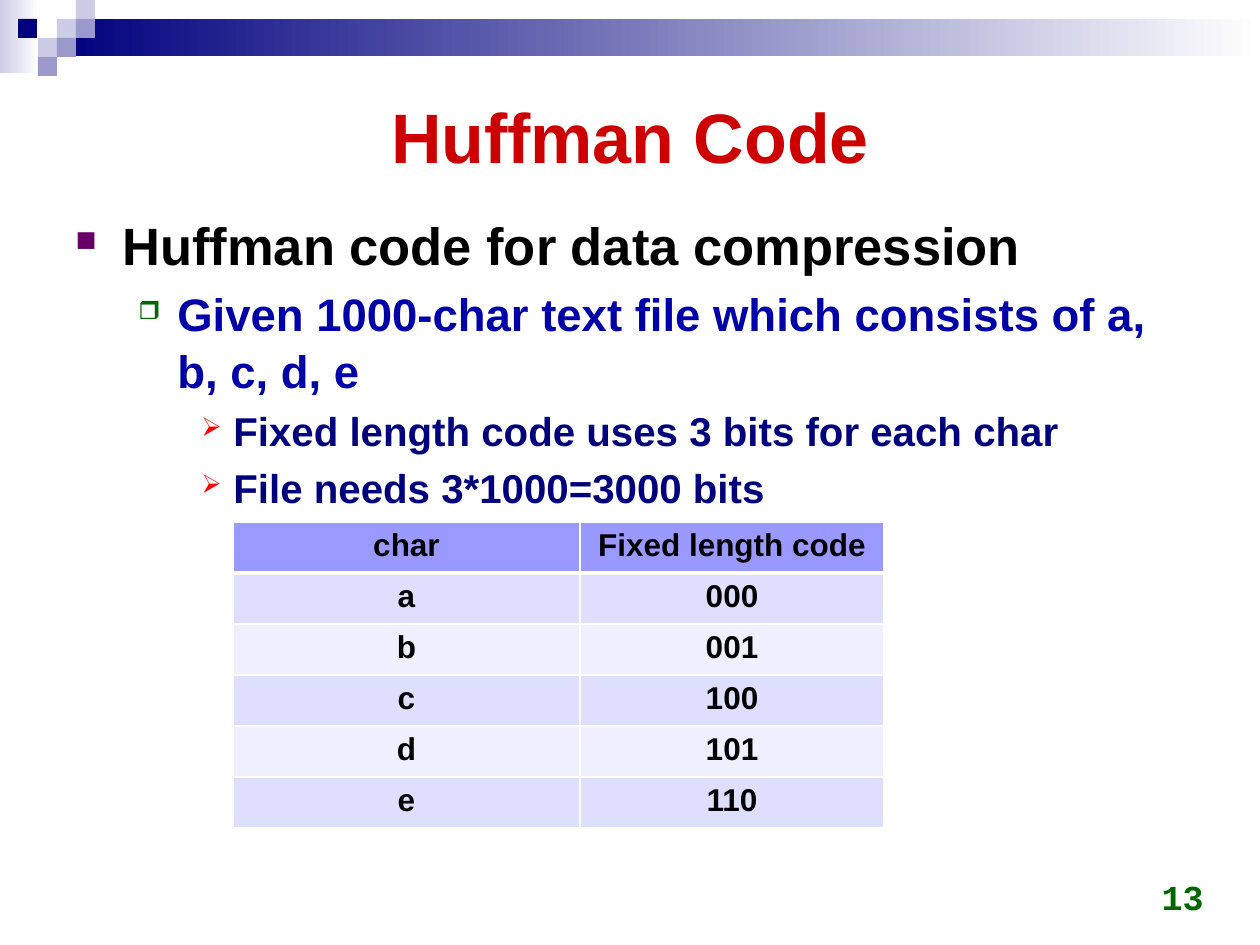
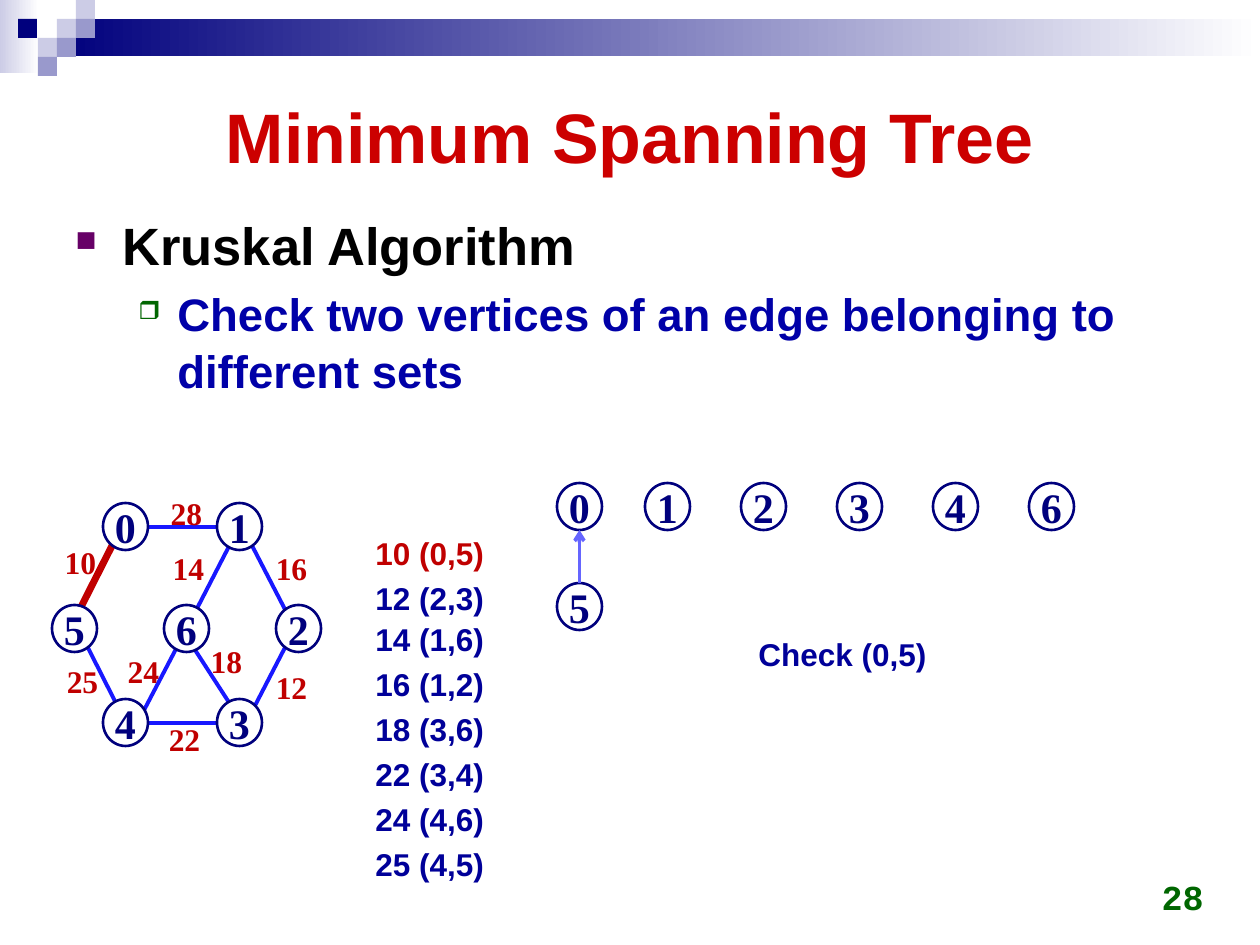
from lxml import etree
from pptx import Presentation
from pptx.dml.color import RGBColor
from pptx.enum.shapes import MSO_CONNECTOR, MSO_SHAPE
from pptx.enum.text import MSO_ANCHOR, PP_ALIGN
from pptx.oxml.ns import qn
from pptx.util import Emu, Pt

RECT, OVAL = MSO_SHAPE.RECTANGLE, MSO_SHAPE.OVAL
STRAIGHT = MSO_CONNECTOR.STRAIGHT
LEFT, CENTER, RIGHT = PP_ALIGN.LEFT, PP_ALIGN.CENTER, PP_ALIGN.RIGHT
TOP, MIDDLE, BOTTOM = MSO_ANCHOR.TOP, MSO_ANCHOR.MIDDLE, MSO_ANCHOR.BOTTOM

PX_PER_INCH = 126
SANS, SERIF, MONO = "Arial", "Times New Roman", "Courier New"
NAVY, LILAC, PALE = "00007D", "9999CC", "CCCCE6"
WHITE, BLACK, RED, CRIMSON = "FFFFFF", "000000", "CC0000", "C00000"
GREEN, LIST_BLUE, EDGE_BLUE, ARROW_BLUE = "006600", "000099", "1818FF", "6565FF"

# Outline levels: size, colour, left margin, hanging indent, bullet, its colour and size %
LEVELS = [
    (30, BLACK, 47, 47, "■", "660066", 55),
    (26, "0000A8", 102, 39, "❒", GREEN, 55),
    (23, NAVY, 158, 32, "➢", "FF0000", 65),
]

# Corner squares on a 19 px grid: left, top, colour
SQUARES = [(57, 19, PALE), (76, 0, PALE), (76, 19, LILAC), (38, 38, PALE),
           (18, 19, NAVY), (57, 38, LILAC), (38, 57, LILAC)]

CODES = [("char", "Fixed length code"), ("a", "000"), ("b", "001"),
         ("c", "100"), ("d", "101"), ("e", "110")]

# Graph: vertex -> left, top
VERTICES = {5: (52, 605), 0: (103, 503), 4: (103, 699), 6: (164, 605),
            1: (217, 503), 3: (217, 699), 2: (276, 605)}
VERTEX_W, VERTEX_H = 45, 47

# Graph edges by weight: weight, vertices, start, end, label corner
EDGES = [
    (10, (0, 5), (118, 534), (74, 621), (52, 537)),
    (12, (2, 3), (291, 636), (246, 723), (263, 662)),
    (14, (1, 6), (239, 527), (187, 628), (160, 543)),
    (16, (1, 2), (246, 534), (291, 621), (263, 543)),
    (18, (3, 6), (232, 707), (186, 636), (198, 636)),
    (22, (3, 4), (246, 723), (134, 723), (156, 714)),
    (24, (4, 6), (141, 716), (187, 628), (115, 646)),
    (25, (4, 5), (82, 636), (126, 723), (54, 656)),
    (28, (0, 1), (134, 527), (246, 527), (158, 488)),
]
CHOSEN = (0, 5)


def px(*lengths):
    return [Emu(round(length * 914400 / PX_PER_INCH)) for length in lengths]


def rgb(color):
    return RGBColor.from_string(color)


def sub(parent, tag, **attributes):
    return etree.SubElement(parent, qn(tag), attributes)


def style(paragraph, size, color, font=SANS, align=LEFT):
    paragraph.alignment = align
    paragraph.font.name = font
    paragraph.font.size = Pt(size)
    paragraph.font.bold = True
    paragraph.font.color.rgb = rgb(color)


def add_box(slide, kind, box, fill, fill_end=None, line=None):
    """A preset shape with a plain fill, or a left-to-right gradient."""
    shape = slide.shapes.add_shape(kind, *px(*box))
    shape.shadow.inherit = False
    if fill_end:
        shape.fill.gradient()
        shape.fill.gradient_angle = 0
        for stop, color, position in zip(shape.fill.gradient_stops, (fill, fill_end), (0, 1)):
            stop.color.rgb = rgb(color)
            stop.position = position
    else:
        shape.fill.solid()
        shape.fill.fore_color.rgb = rgb(fill)
    if line:
        shape.line.color.rgb = rgb(line)
        shape.line.width = Pt(1.5)
    else:
        shape.line.fill.background()
    return shape


def add_label(slide, text, box, size, color, font=SANS, align=LEFT, anchor=TOP):
    frame = slide.shapes.add_textbox(*px(*box)).text_frame
    frame.word_wrap = False
    frame.vertical_anchor = anchor
    frame.text = text
    style(frame.paragraphs[0], size, color, font, align)


def add_line(slide, start, end, color, width, arrow=False):
    line = slide.shapes.add_connector(STRAIGHT, *px(*start, *end))
    line.line.color.rgb = rgb(color)
    line.line.width = Pt(width)
    if arrow:
        sub(line.line._get_or_add_ln(), "a:tailEnd", type="arrow")
    sub(line._element.spPr, "a:effectLst")


def add_vertex(slide, name, left, top):
    vertex = add_box(slide, OVAL, (left, top, VERTEX_W, VERTEX_H), WHITE, line=NAVY)
    frame = vertex.text_frame
    frame.margin_left, frame.margin_top, frame.margin_right, frame.margin_bottom = px(10, 8, 10, 8)
    frame.word_wrap = False
    frame.vertical_anchor = MIDDLE
    frame.text = str(name)
    style(frame.paragraphs[0], 24, NAVY, SERIF, CENTER)


def add_outline(slide, items):
    """Bulleted text from (level, text) pairs."""
    frame = slide.shapes.add_textbox(*px(63, 204, 1134, 655)).text_frame
    frame.word_wrap = True
    for index, (level, text) in enumerate(items):
        size, color, margin, hanging, bullet, bullet_color, percent = LEVELS[level]
        paragraph = frame.add_paragraph() if index else frame.paragraphs[0]
        paragraph.text = text
        paragraph.level = level
        paragraph.line_spacing = 1.05
        paragraph.space_before = Pt(size * 0.15)
        style(paragraph, size, color)
        properties = paragraph._p.get_or_add_pPr()
        margin, indent = px(margin, -hanging)
        properties.set("marL", str(margin))
        properties.set("indent", str(indent))
        marks = [etree.Element(qn(tag)) for tag in ("a:buClr", "a:buSzPct", "a:buChar")]
        sub(marks[0], "a:srgbClr", val=bullet_color)
        marks[1].set("val", str(percent * 1000))
        marks[2].set("char", bullet)
        run_defaults = properties.find(qn("a:defRPr"))
        for mark in marks:
            run_defaults.addprevious(mark)


def add_borders(cell, top, bottom):
    properties = cell._tc.get_or_add_tcPr()
    for side, width in (("L", 1), ("R", 1), ("T", top), ("B", bottom)):
        border = sub(properties, f"a:ln{side}", w=str(Pt(width)))
        sub(sub(border, "a:solidFill"), "a:srgbClr", val=WHITE)


def add_code_table(slide, rows):
    table = slide.shapes.add_table(len(rows), 2, *px(233, 522, 651, 51 * len(rows))).table
    for column, width in zip(table.columns, px(347, 304)):
        column.width = width
    for r, texts in enumerate(rows):
        fill = "9999FF" if r == 0 else ("EFEFFF", "DEDEFF")[r % 2]
        for c, text in enumerate(texts):
            cell = table.cell(r, c)
            add_borders(cell, 3 if r == 1 else 1, 3 if r == 0 else 1)
            cell.fill.solid()
            cell.fill.fore_color.rgb = rgb(fill)
            cell.text = text
            style(cell.text_frame.paragraphs[0], 18, BLACK, align=CENTER)


def add_slide(deck, title, number, outline):
    """A slide with the shared band, title, outline and number."""
    slide = deck.slides.add_slide(deck.slide_layouts[5])
    # Band and corner squares
    add_box(slide, RECT, (0, 0, 39, 73), PALE, WHITE)
    add_box(slide, RECT, (57, 19, 1203, 37), NAVY, WHITE)
    for left, top, color in SQUARES:
        add_box(slide, RECT, (left, top, 19, 19), color)
    # Title
    heading = slide.shapes.title
    heading.left, heading.top, heading.width, heading.height = px(63, 63, 1134, 146)
    heading.text_frame.text = title
    heading.text_frame.vertical_anchor = MIDDLE
    style(heading.text_frame.paragraphs[0], 40, RED, align=CENTER)
    # Outline and slide number
    add_outline(slide, outline)
    add_label(slide, str(number), (922, 861, 294, 63), 20, GREEN, MONO, RIGHT, BOTTOM)
    return slide


def add_graph(slide):
    for weight, ends, start, end, corner in EDGES:
        color, width = (CRIMSON, 4) if ends == CHOSEN else (EDGE_BLUE, 2.25)
        add_line(slide, start, end, color, width)
    for name, corner in VERTICES.items():
        add_vertex(slide, name, *corner)
    for weight, ends, start, end, corner in EDGES:
        add_label(slide, str(weight), (*corner, 57, 50), 18, CRIMSON, SERIF, CENTER)


def add_edge_list(slide):
    tops = [528, 573, *range(614, 840, 45)]
    for (weight, ends, *_), top in zip(EDGES, tops):
        color = CRIMSON if ends == CHOSEN else LIST_BLUE
        add_label(slide, f"{weight} ({ends[0]},{ends[1]})", (363, top, 135, 50), 18, color)


def add_forest(slide):
    """One tree per set, with 5 already joined to 0."""
    left, root_top, child_top = 557, 483, 583
    add_vertex(slide, 5, left, child_top)
    add_vertex(slide, 0, left, root_top)
    for index, name in enumerate((1, 2, 3, 4, 6)):
        add_vertex(slide, name, 645 + 96 * index, root_top)
    middle = left + VERTEX_W / 2
    add_line(slide, (middle, child_top), (middle, root_top + VERTEX_H), ARROW_BLUE, 2, arrow=True)


def main():
    deck = Presentation()
    deck.slide_width, deck.slide_height = px(1260, 945)

    # Huffman code
    huffman = add_slide(deck, "Huffman Code", 13, [
        (0, "Huffman code for data compression"),
        (1, "Given 1000-char text file which consists of a, b, c, d, e"),
        (2, "Fixed length code uses 3 bits for each char"),
        (2, "File needs 3*1000=3000 bits"),
    ])
    add_code_table(huffman, CODES)

    # Kruskal's algorithm
    kruskal = add_slide(deck, "Minimum Spanning Tree", 28, [
        (0, "Kruskal Algorithm"),
        (1, "Check two vertices of an edge belonging to different sets"),
    ])
    add_graph(kruskal)
    add_edge_list(kruskal)
    add_forest(kruskal)
    add_label(kruskal, "Check (0,5)", (746, 629, 195, 50), 18, LIST_BLUE)

    deck.save("out.pptx")


if __name__ == "__main__":
    main()
